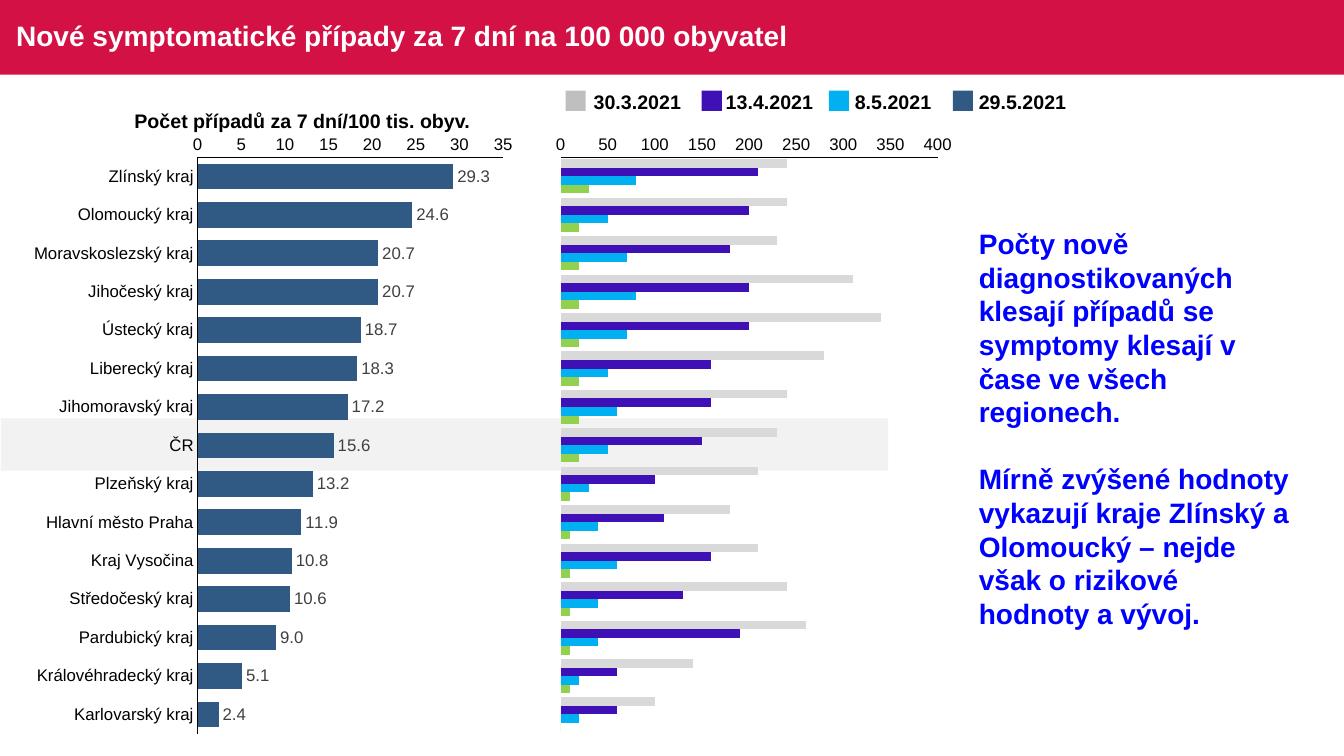
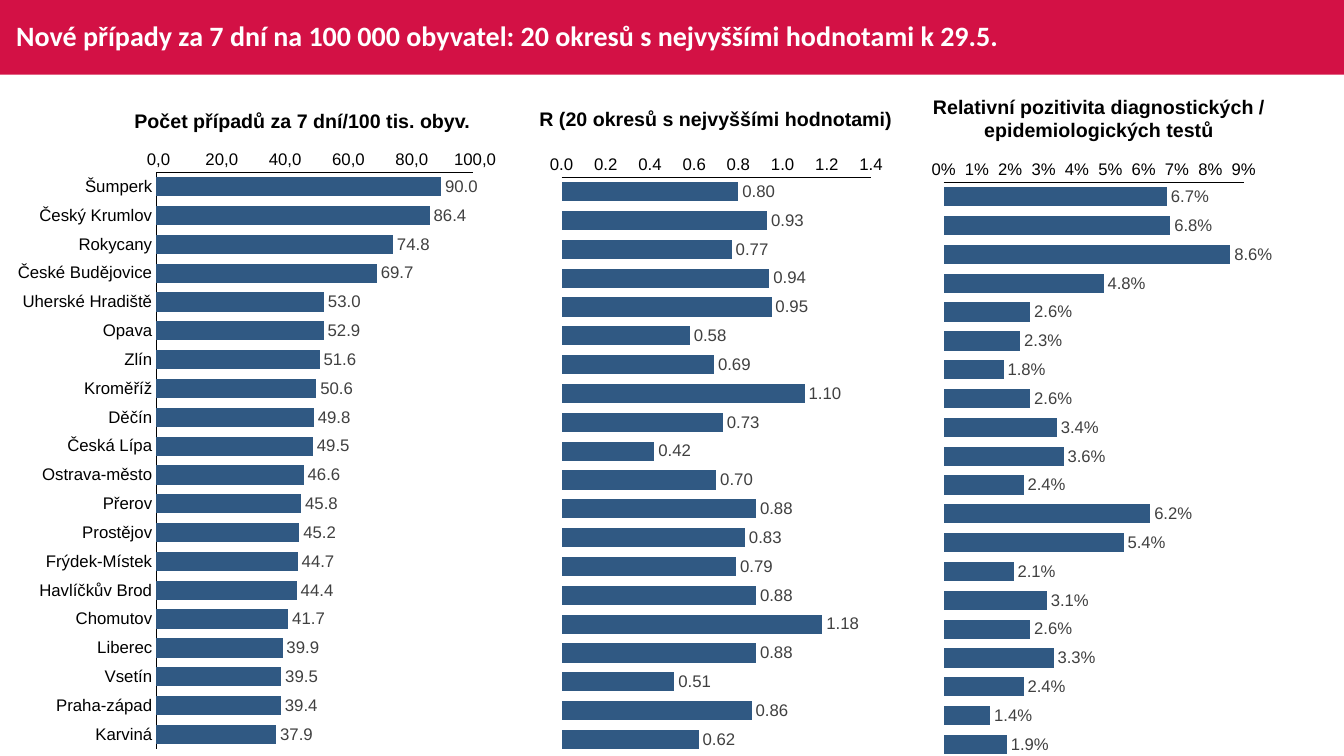
import pptx
import pptx.chart.data
import pptx.dml.color
import pptx.enum.chart
import pptx.enum.shapes
import pptx.enum.text
import pptx.oxml
import pptx.oxml.ns
import pptx.util

Inches = pptx.util.Inches
Pt = pptx.util.Pt
RGBColor = pptx.dml.color.RGBColor
PP_ALIGN = pptx.enum.text.PP_ALIGN

CRIMSON = RGBColor(0xD3, 0x11, 0x45)
WHITE = RGBColor(0xFF, 0xFF, 0xFF)
BLACK = RGBColor(0, 0, 0)
NOTE_BLUE = RGBColor(0, 0, 0xFF)
LABEL_GREY = RGBColor(0x40, 0x40, 0x40)
HIGHLIGHT = RGBColor(0xF2, 0xF2, 0xF2)
STEEL = RGBColor(0x30, 0x59, 0x83)
PALE_GREY = RGBColor(0xD9, 0xD9, 0xD9)
KEY_GREY = RGBColor(0xBF, 0xBF, 0xBF)
VIOLET = RGBColor(0x40, 0x10, 0xB7)
SKY = RGBColor(0x00, 0xB0, 0xF0)
GREEN = RGBColor(0x92, 0xD0, 0x50)

CHART_HEIGHT = 6.19
PLOT_TOP, PLOT_HEIGHT = 0.34, 5.72

regions = ["Zlínský kraj", "Olomoucký kraj", "Moravskoslezský kraj", "Jihočeský kraj",
           "Ústecký kraj", "Liberecký kraj", "Jihomoravský kraj", "ČR", "Plzeňský kraj",
           "Hlavní město Praha", "Kraj Vysočina", "Středočeský kraj", "Pardubický kraj",
           "Královéhradecký kraj", "Karlovarský kraj"]
region_cases = [29.3, 24.6, 20.7, 20.7, 18.7, 18.3, 17.2, 15.6, 13.2, 11.9, 10.8, 10.6, 9, 5.1, 2.4]
dates = ["30.3.2021", "13.4.2021", "8.5.2021", "29.5.2021"]
cases_by_date = [
    [240, 240, 230, 310, 340, 280, 240, 230, 210, 180, 210, 240, 260, 140, 100],
    [210, 200, 180, 200, 200, 160, 160, 150, 100, 110, 160, 130, 190, 60, 60],
    [80, 50, 70, 80, 70, 50, 60, 50, 30, 40, 60, 40, 40, 20, 20],
    [30, 20, 20, 20, 20, 20, 20, 20, 10, 10, 10, 10, 10, 10, 0],
]

districts = ["Šumperk", "Český Krumlov", "Rokycany", "České Budějovice", "Uherské Hradiště",
             "Opava", "Zlín", "Kroměříž", "Děčín", "Česká Lípa", "Ostrava-město", "Přerov",
             "Prostějov", "Frýdek-Místek", "Havlíčkův Brod", "Chomutov", "Liberec", "Vsetín",
             "Praha-západ", "Karviná"]
district_cases = [90, 86.4, 74.8, 69.7, 53, 52.9, 51.6, 50.6, 49.8, 49.5,
                  46.6, 45.8, 45.2, 44.7, 44.4, 41.7, 39.9, 39.5, 39.4, 37.9]
reproduction = [0.8, 0.93, 0.77, 0.94, 0.95, 0.58, 0.69, 1.1, 0.73, 0.42,
                0.7, 0.88, 0.83, 0.79, 0.88, 1.18, 0.88, 0.51, 0.86, 0.62]
positivity = [0.067, 0.068, 0.086, 0.048, 0.026, 0.023, 0.018, 0.026, 0.034, 0.036,
              0.024, 0.062, 0.054, 0.021, 0.031, 0.026, 0.033, 0.024, 0.014, 0.019]


def add_bars(slide, left, top, width, plot_left, plot_width, names, series, colors,
             maximum, step, axis_format, label_format=None, show_names=False):
    """Add a top-down bar chart; plot_left and plot_width are inches within the chart."""
    data = pptx.chart.data.CategoryChartData()
    data.categories = names
    for series_name, values in series:
        data.add_series(series_name, values)
    chart = slide.shapes.add_chart(
        pptx.enum.chart.XL_CHART_TYPE.BAR_CLUSTERED, Inches(left), Inches(top),
        Inches(width), Inches(CHART_HEIGHT), data).chart
    chart.has_legend = False
    chart.has_title = False
    chart.font.name = "Arial"
    chart.font.size = Pt(12)
    chart.font.color.rgb = BLACK

    for axis in (chart.category_axis, chart.value_axis):
        axis.has_major_gridlines = False
        axis.major_tick_mark = axis.minor_tick_mark = pptx.enum.chart.XL_TICK_MARK.NONE
        axis.format.line.color.rgb = BLACK
        axis.format.line.width = Pt(0.75)
    chart.category_axis.reverse_order = True
    chart.category_axis.visible = show_names
    chart.value_axis.minimum_scale = 0
    chart.value_axis.maximum_scale = maximum
    chart.value_axis.major_unit = step
    chart.value_axis.tick_labels.number_format = axis_format
    chart.value_axis.tick_labels.number_format_is_linked = False

    plot = chart.plots[0]
    plot.gap_width = 50
    plot.overlap = 0
    plot.vary_by_categories = False
    for bars, color in zip(plot.series, colors):
        bars.format.fill.solid()
        bars.format.fill.fore_color.rgb = color
        bars.invert_if_negative = False
    if label_format:
        plot.has_data_labels = True
        labels = plot.data_labels
        labels.show_value = True
        labels.number_format = label_format
        labels.number_format_is_linked = False
        labels.position = pptx.enum.chart.XL_LABEL_POSITION.OUTSIDE_END
        labels.font.name = "Arial"
        labels.font.size = Pt(12)
        labels.font.color.rgb = LABEL_GREY

    plot_area = chart.element.find(".//" + pptx.oxml.ns.qn("c:plotArea"))
    for old_layout in plot_area.findall(pptx.oxml.ns.qn("c:layout")):
        plot_area.remove(old_layout)
    fractions = (("x", plot_left / width), ("y", PLOT_TOP / CHART_HEIGHT),
                 ("w", plot_width / width), ("h", PLOT_HEIGHT / CHART_HEIGHT))
    plot_area.insert(0, pptx.oxml.parse_xml(
        f'<c:layout {pptx.oxml.ns.nsdecls("c")}><c:manualLayout><c:layoutTarget val="inner"/>'
        '<c:xMode val="edge"/><c:yMode val="edge"/>'
        + "".join(f'<c:{key} val="{value:.4f}"/>' for key, value in fractions)
        + "</c:manualLayout></c:layout>"))


def add_text(slide, left, top, width, height, paragraphs, size=14, color=BLACK,
             align=PP_ALIGN.CENTER, wrap=False, gap=0):
    frame = slide.shapes.add_textbox(
        Inches(left), Inches(top), Inches(width), Inches(height)).text_frame
    frame.word_wrap = wrap
    frame.text = "\n".join(paragraphs)
    for number, paragraph in enumerate(frame.paragraphs):
        paragraph.alignment = align
        if number:
            paragraph.space_before = Pt(gap)
        paragraph.font.name = "Arial"
        paragraph.font.size = Pt(size)
        paragraph.font.bold = True
        paragraph.font.color.rgb = color


prs = pptx.Presentation()
prs.slide_width = Inches(13.33)
prs.slide_height = Inches(7.5)
layout = prs.slide_layouts[5]

region_slide = prs.slides.add_slide(layout)
district_slide = prs.slides.add_slide(layout)

# The title band belongs to the layout, behind its placeholders
band = region_slide.shapes.add_shape(
    pptx.enum.shapes.MSO_SHAPE.RECTANGLE, 0, 0, prs.slide_width, Inches(0.74))
band.shadow.inherit = False
band.fill.solid()
band.fill.fore_color.rgb = CRIMSON
band.line.fill.background()
layout.shapes.element.insert(2, band.element)

for slide, title_text, title_font, title_width in (
        (region_slide, "Nové symptomatické případy za 7 dní na 100 000 obyvatel", "Arial", 13.06),
        (district_slide, "Nové případy za 7 dní na 100 000 obyvatel: "
         "20 okresů s nejvyššími hodnotami k 29.5.", "Calibri", 12.01)):
    title = slide.shapes.title
    title.left, title.top = Inches(0.06), 0
    title.width, title.height = Inches(title_width), Inches(0.74)
    title.text_frame.text = title_text
    title.text_frame.auto_size = pptx.enum.text.MSO_AUTO_SIZE.NONE
    title.text_frame.vertical_anchor = pptx.enum.text.MSO_ANCHOR.MIDDLE
    heading = title.text_frame.paragraphs[0]
    heading.alignment = PP_ALIGN.LEFT
    heading.line_spacing = 0.9
    heading.font.name = title_font
    heading.font.size = Pt(20)
    heading.font.bold = True
    heading.font.color.rgb = WHITE
    add_text(slide, 1.23, 1.03, 3.54, 0.34, ["Počet případů za 7 dní/100 tis. obyv."])

# Regions: highlighted national row and the colour key
blocks = [(0.01, 4.15, 8.8, 0.52, HIGHLIGHT)]
for date, key_left, date_left, date_width, color in zip(
        dates, (5.61, 6.96, 8.22, 9.45), (5.79, 7.1, 8.38, 9.61),
        (1.07, 1.07, 0.96, 1.07), (KEY_GREY, VIOLET, SKY, STEEL)):
    blocks.append((key_left, 0.9, 0.2, 0.2, color))
    add_text(region_slide, date_left, 0.84, date_width, 0.34, [date], align=PP_ALIGN.LEFT)
for left, top, width, height, color in blocks:
    block = region_slide.shapes.add_shape(
        pptx.enum.shapes.MSO_SHAPE.RECTANGLE,
        Inches(left), Inches(top), Inches(width), Inches(height))
    block.shadow.inherit = False
    block.fill.solid()
    block.fill.fore_color.rgb = color
    block.line.fill.background()

add_bars(region_slide, 5.43, 1.22, 4.09, 0.13, 3.74, regions, list(zip(dates, cases_by_date)),
         [PALE_GREY, VIOLET, SKY, GREEN], 400, 50, "General")
add_bars(region_slide, 0.25, 1.22, 4.94, 1.71, 3.03, regions, [("Počet případů", region_cases)],
         [STEEL], 35, 5, "#,##0", "#,##0.0", show_names=True)
add_text(region_slide, 9.61, 2.2, 3.28, 4.14,
         ["Počty nově diagnostikovaných klesají případů se symptomy klesají v čase "
          "ve všech regionech.",
          "Mírně zvýšené hodnoty vykazují kraje Zlínský a Olomoucký – nejde však "
          "o rizikové hodnoty a vývoj."],
         size=20, color=NOTE_BLUE, align=PP_ALIGN.LEFT, wrap=True, gap=24)

# Districts: three charts over the same list of districts
add_bars(district_slide, 0.08, 1.37, 4.94, 1.47, 3.14, districts,
         [("Počet případů", district_cases)], [STEEL], 100, 20,
         r"[$-10405]#\ ##0.0;\(#\ ##0.0\)", "#,##0.0", show_names=True)
add_bars(district_slide, 5.38, 1.42, 3.44, 0.19, 3.07, districts,
         [("R", reproduction)], [STEEL], 1.4, 0.2, "#,##0.0", "#,##0.00")
add_bars(district_slide, 9.18, 1.47, 3.44, 0.18, 3, districts,
         [("Relativní pozitivita", positivity)], [STEEL], 0.09, 0.01, "0%", "0.0%")
add_text(district_slide, 5.22, 1.01, 3.76, 0.34, ["R (20 okresů s nejvyššími hodnotami)"])
add_text(district_slide, 9.02, 0.89, 3.76, 0.57,
         ["Relativní pozitivita diagnostických / epidemiologických testů"], wrap=True)

prs.save("out.pptx")
